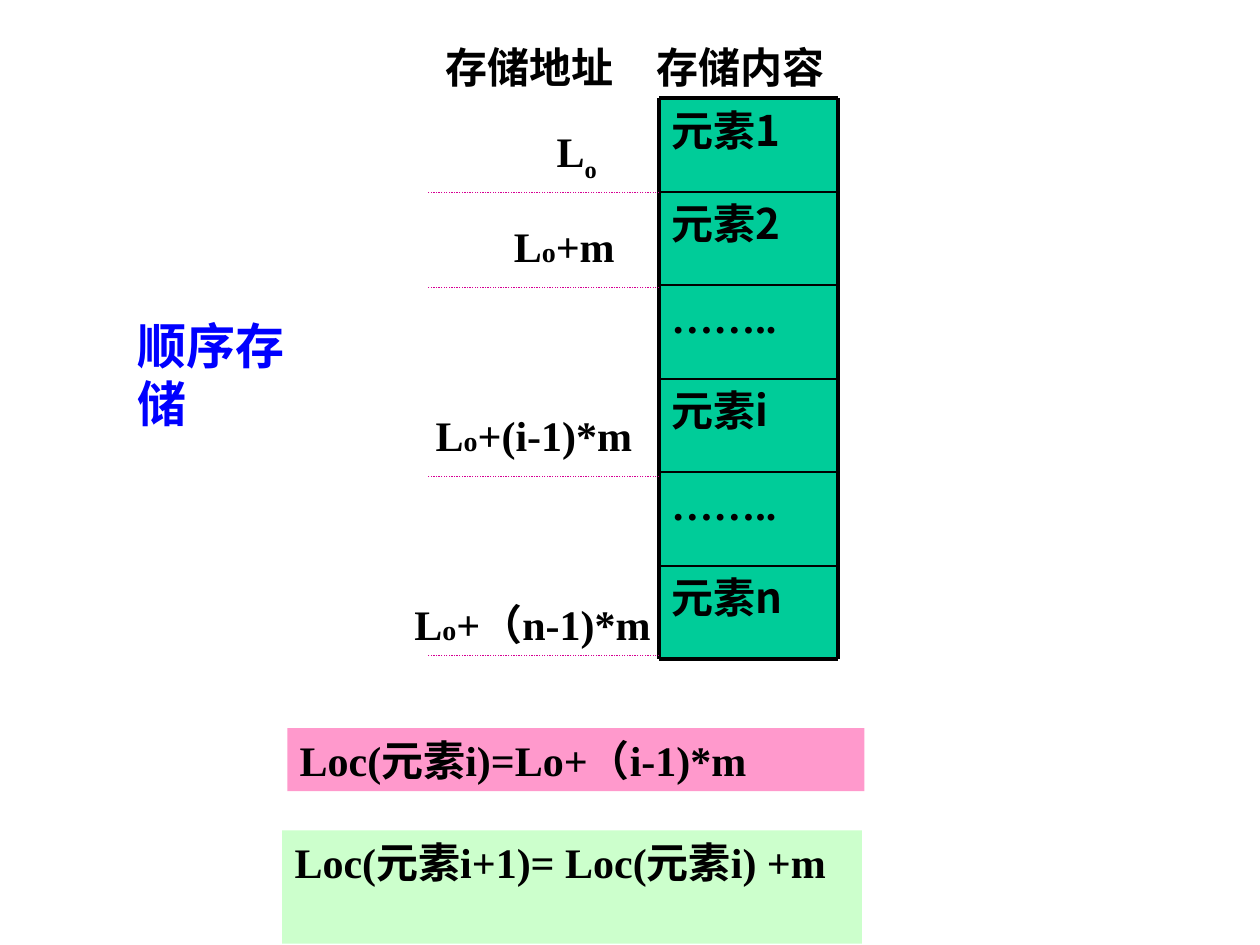
from lxml.etree import SubElement
from pptx import Presentation
from pptx.dml.color import RGBColor
from pptx.enum.dml import MSO_LINE
from pptx.enum.shapes import MSO_CONNECTOR, MSO_SHAPE
from pptx.enum.text import MSO_ANCHOR, MSO_AUTO_SIZE, PP_ALIGN
from pptx.oxml.ns import qn
from pptx.util import Inches, Pt

BLACK = RGBColor(0x00, 0x00, 0x00)
BLUE = RGBColor(0x00, 0x00, 0xFF)
GREEN = RGBColor(0x00, 0xCC, 0x99)
MAGENTA = RGBColor(0xD6, 0x00, 0x93)
PINK = RGBColor(0xFF, 0x99, 0xCC)
MINT = RGBColor(0xCC, 0xFF, 0xCC)
SERIF, CJK = "Times New Roman", "Noto Sans CJK SC"

TITLE = ("顺序存储", (0.99, 2.45, 1.75, 0.57))
ELEMENTS = [("元素1", CJK), ("元素2", CJK), ("……..", SERIF),
            ("元素i", CJK), ("……..", SERIF), ("元素n", CJK)]
HEADINGS = [("存储地址", (3.44, 0.28, 1.71, 0.5)),
            ("存储内容", (5.11, 0.28, 1.58, 0.5))]
ADDRESSES = [
    ([("L", {}), ("o", {"baseline": "-25000"})], (4.32, 0.95, 0.83, 0.56)),
    ([("L", {}), ("o", {"size": 16}), ("+m", {})], (3.98, 1.7, 1.17, 0.5)),
    ([("L", {}), ("o", {"size": 16}), ("+(i-1)*m", {})], (3.36, 3.2, 2.13, 0.5)),
    ([("L", {}), ("o", {"size": 16}), ("+（n-1)*m", {})], (3.19, 4.7, 2.08, 0.9)),
]
ADDRESS_RULES = [1.53, 2.28, 3.78, 5.2]
FORMULAS = [("Loc(元素i)=Lo+（i-1)*m", (2.28, 5.78, 4.58, 0.5), PINK),
            ("Loc(元素i+1)= Loc(元素i) +m", (2.24, 6.59, 4.6, 0.9), MINT)]

COLUMN_LEFT, COLUMN_RIGHT, COLUMN_TOP, ROW_HEIGHT = 5.23, 6.65, 0.78, 0.742
RULE_LEFT = 3.4


def write(shape, text, size=24, face=SERIF, color=BLACK, wrap=True):
    """Fill a shape with text given as a string or as (text, format) runs."""
    frame = shape.text_frame
    frame.word_wrap = wrap
    frame.auto_size = MSO_AUTO_SIZE.NONE
    frame.vertical_anchor = MSO_ANCHOR.TOP
    paragraph = frame.paragraphs[0]
    paragraph.alignment = PP_ALIGN.LEFT
    for words, extra in [(text, {})] if isinstance(text, str) else text:
        run = paragraph.add_run()
        run.text = words
        font = run.font
        font.size = Pt(extra.get("size", size))
        font.bold = True
        font.name = face
        font.color.rgb = color
        properties = run._r.get_or_add_rPr()
        SubElement(properties, qn("a:ea")).set("typeface", CJK)
        if "baseline" in extra:
            properties.set("baseline", extra["baseline"])


def add_label(slide, text, box):
    write(slide.shapes.add_textbox(*map(Inches, box)), text)


def add_panel(slide, text, box, fill, face=SERIF):
    panel = slide.shapes.add_shape(MSO_SHAPE.RECTANGLE, *map(Inches, box))
    panel.shadow.inherit = False
    panel.fill.solid()
    panel.fill.fore_color.rgb = fill
    panel.line.fill.background()
    write(panel, text, face=face)


def add_line(slide, ends, color=BLACK, width=1, dash=None):
    line = slide.shapes.add_connector(MSO_CONNECTOR.STRAIGHT, *map(Inches, ends))
    line.line.color.rgb = color
    line.line.width = Pt(width)
    if dash:
        line.line.dash_style = dash
    SubElement(line._element.spPr, qn("a:effectLst"))


def main():
    deck = Presentation()
    deck.slide_width, deck.slide_height = Inches(10), Inches(7.5)
    slide = deck.slides.add_slide(deck.slide_layouts[5])

    words, box = TITLE
    title = slide.shapes.title
    title.left, title.top, title.width, title.height = map(Inches, box)
    write(title, words, size=28, color=BLUE, wrap=False)

    edges = [COLUMN_TOP + ROW_HEIGHT * row for row in range(len(ELEMENTS) + 1)]
    for (element, face), top in zip(ELEMENTS, edges):
        cell = (COLUMN_LEFT, top, COLUMN_RIGHT - COLUMN_LEFT, ROW_HEIGHT)
        add_panel(slide, element, cell, GREEN, face)
    for edge in edges:
        outer = edge in (edges[0], edges[-1])
        add_line(slide, (COLUMN_LEFT, edge, COLUMN_RIGHT, edge), width=2.25 if outer else 1)
    for side in (COLUMN_LEFT, COLUMN_RIGHT):
        add_line(slide, (side, edges[0], side, edges[-1]), width=2.25)

    for text, box in ADDRESSES + HEADINGS:
        add_label(slide, text, box)
    for height in ADDRESS_RULES:
        add_line(slide, (COLUMN_LEFT, height, RULE_LEFT, height), MAGENTA, 0.75, MSO_LINE.ROUND_DOT)
    for formula, box, fill in FORMULAS:
        add_panel(slide, formula, box, fill)

    deck.save("out.pptx")


if __name__ == "__main__":
    main()
